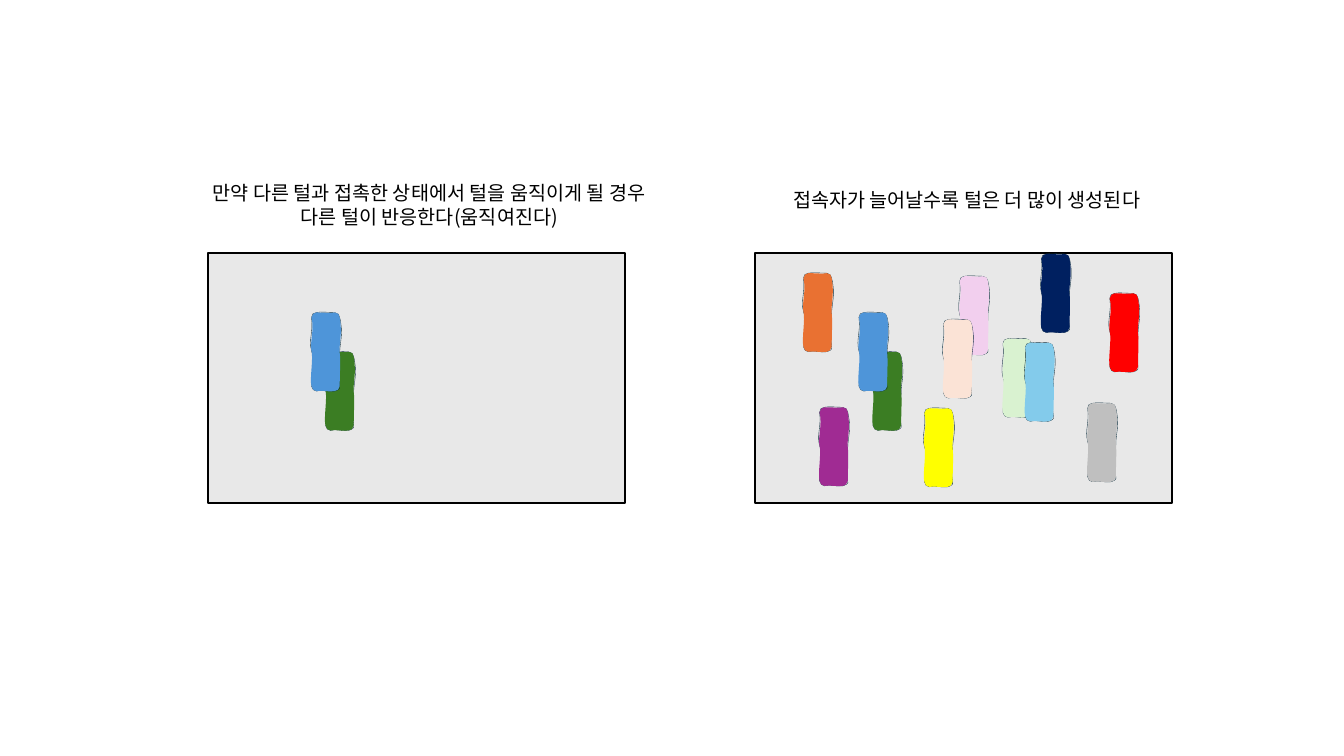
from lxml import etree
from pptx import Presentation
from pptx.dml.color import RGBColor
from pptx.enum.shapes import MSO_SHAPE
from pptx.enum.text import MSO_AUTO_SIZE, PP_ALIGN
from pptx.oxml.ns import qn
from pptx.util import Pt

RECT = MSO_SHAPE.RECTANGLE
CENTER = PP_ALIGN.CENTER
GROW = MSO_AUTO_SIZE.SHAPE_TO_FIT_TEXT
FONT = "Noto Sans CJK KR"
TEXT_FORMAT = {"name": FONT, "size": Pt(14)}

# Hair geometry: a grid of 28 by 78 units, each 0.72 pt
UNIT, HAIR_W, HAIR_H = 0.72, 28, 78
HAIR_START = (0, 5)
# Each row is one cubic curve: two control points and an end point
STROKE_CURVES = [
    (0, 2, 2, 0, 5, 0), (9, -1, 17, 0, 23, 0), (26, 1, 28, 2, 28, 5),
    (32, 22, 28, 30, 28, 40), (28, 51, 26, 59, 28, 73),
    (29, 76, 26, 77, 23, 78), (15, 79, 11, 76, 5, 78),
    (3, 78, 0, 76, 0, 73), (0, 64, 4, 48, 0, 38), (-3, 27, 2, 19, 0, 5)]
FILL_CURVES = [
    (0, 2, 3, 0, 5, 0), (14, 0, 19, 1, 23, 0), (26, 0, 28, 2, 28, 5),
    (31, 22, 27, 32, 28, 40), (29, 47, 28, 61, 28, 73),
    (27, 76, 26, 78, 23, 78), (17, 79, 11, 77, 5, 78),
    (2, 78, 1, 76, 0, 73), (-2, 66, 2, 46, 0, 38), (-2, 30, 3, 18, 0, 5)]

# Hairs: colour, then left and top inside the panel
TOUCHING_HAIRS = [("3B7D23", 84.2, 70.6), ("4E95D9", 74.2, 42.5)]
MORE_HAIRS = [
    ("F2CFEE", 146.2, 16.6), ("D9F2D0", 177.1, 61.2),
    ("FFFF00", 121, 110.9), ("BFBFBF", 237.6, 107.3),
    ("002060", 204.5, 0.7), ("E97132", 34.6, 14.4),
    ("A02B93", 46.1, 110.2), ("83CBEB", 193, 64.1),
    ("FF0000", 253.4, 28.8), ("FBE3D6", 134.6, 47.5)]


def color(value):
    return RGBColor.from_string(value)


def paint(sp, fill, line, width):
    sp.shadow.inherit = False
    sp.fill.solid()
    sp.fill.fore_color.rgb = color(fill)
    sp.line.color.rgb = color(line)
    sp.line.width = Pt(width)


def add_curves(path_list, curves, **flags):
    size = {"w": str(HAIR_W), "h": str(HAIR_H)}
    path = etree.SubElement(path_list, qn("a:path"), {**size, **flags})
    for tag, coords in [("a:moveTo", HAIR_START)] + [
            ("a:cubicBezTo", curve) for curve in curves]:
        step = etree.SubElement(path, qn(tag))
        for x, y in zip(coords[::2], coords[1::2]):
            etree.SubElement(step, qn("a:pt"), x=str(x), y=str(y))
    etree.SubElement(path, qn("a:close"))


def add_hair(s, left, top, fill):
    builder = s.shapes.build_freeform(0, 0, scale=Pt(UNIT))
    builder.add_line_segments([(HAIR_W, 0), (HAIR_W, HAIR_H), (0, HAIR_H)])
    sp = builder.convert_to_shape(Pt(left), Pt(top))
    paint(sp, fill, "092A39", 0.25)
    # Curved outline below, curved fill above
    path_list = sp._element.spPr.find(".//" + qn("a:pathLst"))
    for path in list(path_list):
        path_list.remove(path)
    add_curves(path_list, STROKE_CURVES, fill="none")
    add_curves(path_list, FILL_CURVES, stroke="0")


def add_caption(s, left, top, width, height, lines):
    sp = s.shapes.add_textbox(Pt(left), Pt(top), Pt(width), Pt(height))
    tf = sp.text_frame
    tf.word_wrap = False
    tf.auto_size = GROW
    for i, line in enumerate(lines):
        p = tf.paragraphs[0] if i == 0 else tf.add_paragraph()
        p.alignment = CENTER
        r = p.add_run()
        r.text = line
        for key, value in TEXT_FORMAT.items():
            setattr(r.font, key, value)
        r.font.color.rgb = color("000000")
        etree.SubElement(r._r.get_or_add_rPr(), qn("a:ea"), typeface=FONT)


def add_scene(s, left, top, width, height, caption_box, lines, hairs):
    # Caption, placed relative to the panel
    dx, dy, caption_w, caption_h = caption_box
    add_caption(s, left + dx, top + dy, caption_w, caption_h, lines)
    # Panel
    panel = s.shapes.add_shape(RECT, Pt(left), Pt(top), Pt(width), Pt(height))
    paint(panel, "E8E8E8", "000000", 1.5)
    # Hairs
    for fill, x, y in hairs:
        add_hair(s, left + x, top + y, fill)


def main():
    prs = Presentation()
    prs.slide_width, prs.slide_height = Pt(960), Pt(540)
    s = prs.slides.add_slide(prs.slide_layouts[6])
    add_scene(s, 148.3, 180.7, 298, 178.6, (-26.6, -54.7, 370, 41),
              ["만약 다른 털과 접촉한 상태에서 털을 움직이게 될 경우",
               "다른 털이 반응한다(움직여진다)"], TOUCHING_HAIRS)
    add_scene(s, 539.3, 180.7, 298, 178.6, (4.3, -49.7, 294, 24.5),
              ["접속자가 늘어날수록 털은 더 많이 생성된다"],
              TOUCHING_HAIRS + MORE_HAIRS)
    prs.save("out.pptx")


if __name__ == "__main__":
    main()
